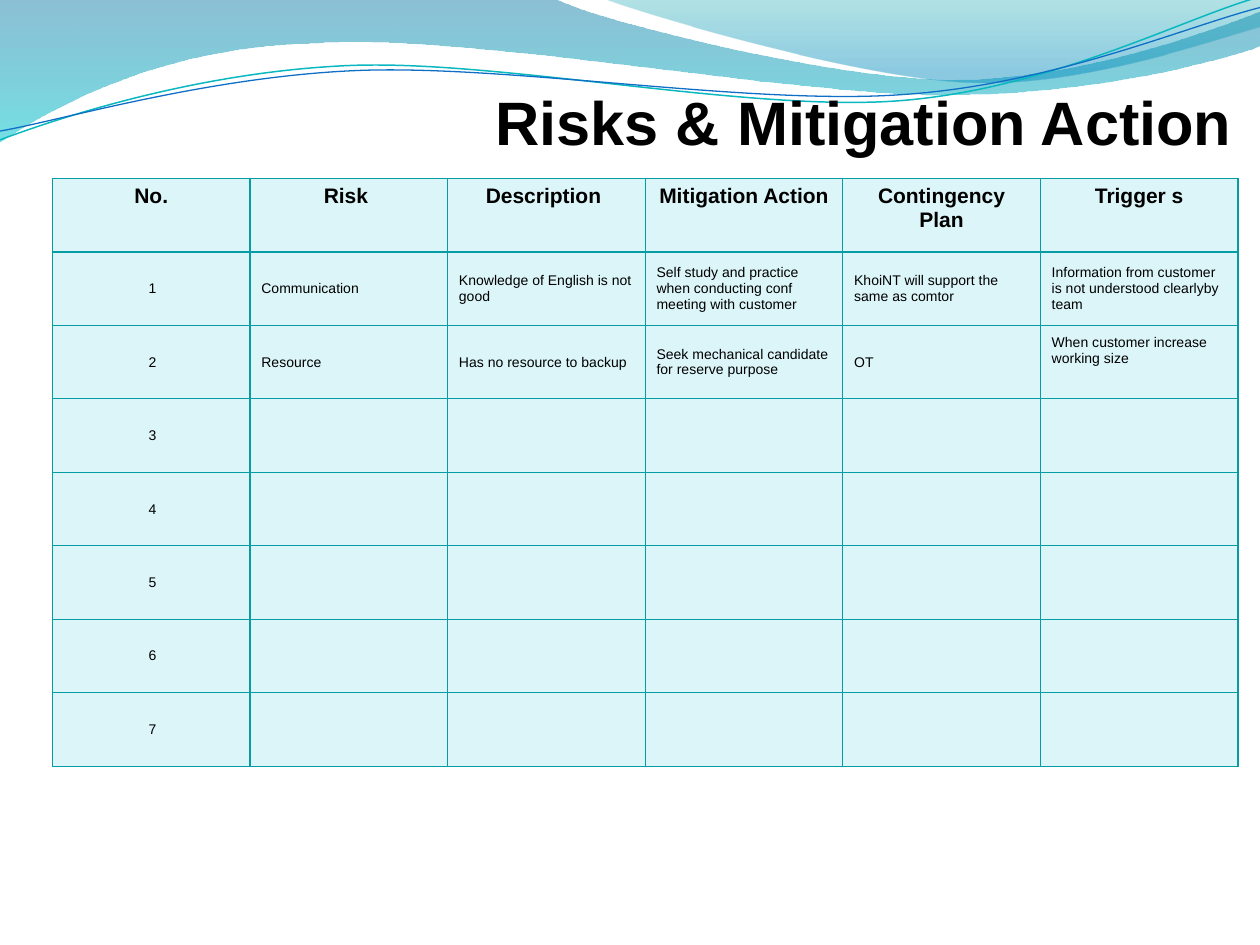
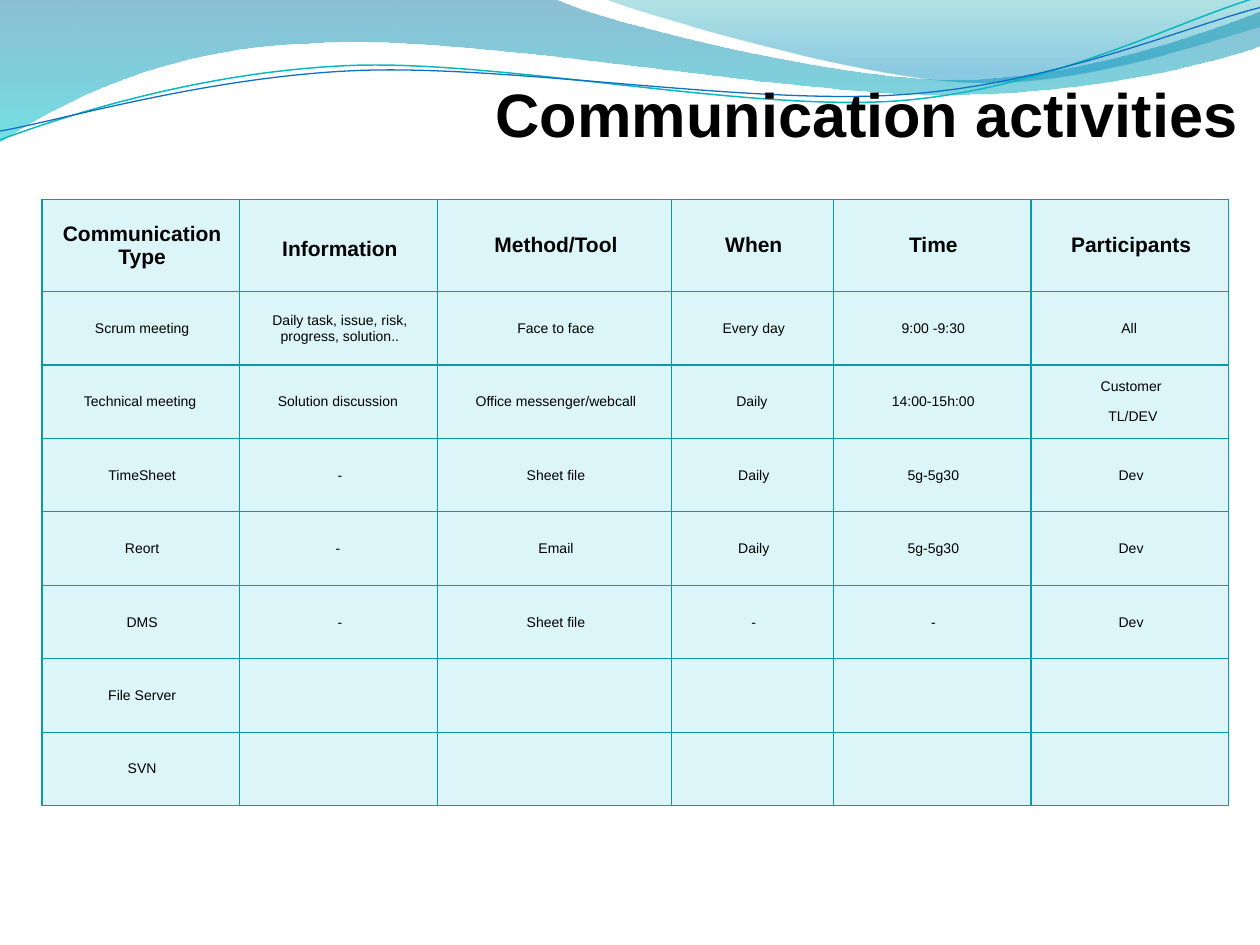
"""Build two project slides, each a waved header, a title and a table."""
import math
from dataclasses import dataclass

from lxml import etree
from pptx import Presentation, util as u
from pptx.dml.color import RGBColor
from pptx.enum import text
from pptx.oxml.ns import qn


@dataclass(frozen=True)
class Theme:
    font: str = "Arial"
    ink: str = "000000"
    cell: str = "DBF5F9"
    border: str = "069CA3"
    title_size: float = 35
    head_size: float = 12
    body_size: float = 8
    border_width: float = 0.75


theme = Theme()
LEFT, CENTER, RIGHT = text.PP_ALIGN.LEFT, text.PP_ALIGN.CENTER, text.PP_ALIGN.RIGHT
TOP, MIDDLE, BOTTOM = text.MSO_ANCHOR.TOP, text.MSO_ANCHOR.MIDDLE, text.MSO_ANCHOR.BOTTOM
ROW_HEIGHT = 7 / 12
PIVOT = (4.99, 0.58)

waves = [
    {"steps": [(0, 0), (4.4, -0.01), (4.76, 0.17, 6.64, 0.63, 7.58, 0.63),
               (8.53, 0.63, 9.58, 0.26, 10, 0.09), (10.01, 0.36),
               (9.83, 0.44, 8.7, 0.76, 7.46, 0.75), (6.22, 0.75, 3.82, 0.28, 2.57, 0.34),
               (1.29, 0.36, 0.46, 0.83, -0.01, 1.13), (0, 0)],
     "tilt": 0, "stops": [(0, "0074A1", 45), (1, "00C6CF", 55)]},
    {"steps": [(4.79, -0.01), (5.09, 0.11, 6.82, 0.62, 7.69, 0.65),
               (8.56, 0.69, 9.61, 0.32, 10, 0.21), (10, 0), (4.79, -0.01)],
     "tilt": 0, "stops": [(0, "00A1A9", 30), (0.8, "008BBF", 45)]},
    {"steps": [(0, 1.11), (0.48, 0.93, 1.58, 0.57, 2.77, 0.52),
               (3.95, 0.47, 5.93, 0.89, 7.13, 0.8), (8.33, 0.71, 9.38, 0.15, 9.98, -0.02)],
     "tilt": -2.7, "line": ("0AB8BF", 0.85)},
    {"steps": [(0, 1.04), (0.47, 0.96, 1.64, 0.61, 2.83, 0.56),
               (4.03, 0.51, 5.97, 0.84, 7.17, 0.75), (8.36, 0.67, 9.41, 0.21, 10, 0.06)],
     "tilt": -2.7, "line": ("0F6FC6", 0.75)},
]

slides = [
    {"title": "Risks & Mitigation Action", "title_at": (1.58, 0.5, 8.2, 0.75),
     "table_at": (5 / 12, 17 / 12), "head_height": ROW_HEIGHT,
     "widths": [9.41 / 6] * 6, "body_align": LEFT,
     "head": {"anchor": TOP, "insets": (0.1, 0.05, 0.1, 0.05), "gap": 0},
     "insets": {(2, 5): (0.09, 0, 0.07, 0.19)},
     "rows": [
         ["No.", "Risk ", "Description ", "Mitigation Action", "Contingency Plan", "Trigger s"],
         ["1", "Communication", "Knowledge of English is not good",
          "Self study and practice when conducting conf meeting with customer",
          "KhoiNT will support the same as comtor",
          "Information from customer is not understood clearlyby team"],
         ["2", "Resource", "Has no resource to backup",
          "Seek mechanical candidate for reserve purpose", "OT",
          "When customer increase working size"],
         *[[str(number)] + [""] * 5 for number in range(3, 8)],
     ]},
    {"title": "Communication activities", "title_at": (0.83, 0.5, 9, 0.69),
     "table_at": (1 / 3, 19 / 12), "head_height": 0.73,
     "widths": [1.57, 1.57, 1.86, 1.28, 1.57, 1.57], "body_align": CENTER,
     "head": {},
     "insets": {(0, 1): (0.09, 0.06, 0.07, 0)},
     "rows": [
         ["Communication Type", "Information", "Method/Tool", "When", "Time", "Participants"],
         ["Scrum meeting", "Daily task, issue, risk, progress, solution..", "Face to face",
          "Every day", "9:00 -9:30", "All "],
         ["Technical meeting ", "Solution discussion ", "Office messenger/webcall",
          "Daily ", "14:00-15h:00", "Customer\n TL/DEV"],
         ["TimeSheet", "-", "Sheet file", "Daily", "5g-5g30", "Dev"],
         ["Reort", "- ", "Email", "Daily", "5g-5g30", "Dev"],
         ["DMS", "-", "Sheet file", "-", "-", "Dev"],
         *[[store] + [""] * 5 for store in ("File Server", "SVN")],
     ]},
]


def add_curve(page, steps, tilt):
    """Add a freeform whose six-number steps are Bezier curves, tilted by degrees."""
    sine, cosine = math.sin(math.radians(-tilt)), math.cos(math.radians(-tilt))
    points = []
    for step in steps:
        for x, y in zip(step[::2], step[1::2]):
            across, down = x - PIVOT[0], y - PIVOT[1]
            points.append((u.Inches(PIVOT[0] + across * cosine - down * sine),
                           u.Inches(PIVOT[1] + across * sine + down * cosine)))
    builder = page.shapes.build_freeform(*points[0], scale=1.0)
    builder.add_line_segments(points[1:], close=steps[0] == steps[-1])
    shape = builder.convert_to_shape()
    lines = iter(list(shape._element.iter(qn("a:lnTo"))))
    for step in steps[1:]:
        first = next(lines)
        if len(step) == 6:
            curve = etree.Element(qn("a:cubicBezTo"))
            first.addprevious(curve)
            for line in (first, next(lines), next(lines)):
                curve.append(line[0])
                line.getparent().remove(line)
    shape.rotation = tilt
    shape.shadow.inherit = False
    return shape


def write(frame, words, size=theme.body_size, bold=False, align=CENTER, gap=0):
    """Fill a text frame, one paragraph for each line of words."""
    frame.word_wrap = True
    for index, line in enumerate(words.split("\n")):
        para = frame.add_paragraph() if index else frame.paragraphs[0]
        para.alignment = align
        para.space_before = para.space_after = u.Pt(gap)
        span = para.add_run()
        span.text = line
        span.font.name, span.font.size, span.font.bold = theme.font, u.Pt(size), bold
        span.font.color.rgb = RGBColor.from_string(theme.ink)


deck = Presentation()
deck.slide_width, deck.slide_height = u.Inches(10), u.Inches(7.5)

for content in slides:
    page = deck.slides.add_slide(deck.slide_layouts[6])

    for wave in waves:
        shape = add_curve(page, wave["steps"], wave["tilt"])
        if "line" in wave:
            color, width = wave["line"]
            shape.fill.background()
            shape.line.color.rgb = RGBColor.from_string(color)
            shape.line.width = u.Pt(width)
            continue
        shape.line.fill.background()
        shape.fill.gradient()
        shape.fill.gradient_angle = 270
        for stop, (position, color, _) in zip(shape.fill.gradient_stops, wave["stops"]):
            stop.position = position
            stop.color.rgb = RGBColor.from_string(color)
        for tint, (_, _, opacity) in zip(shape._element.spPr.iter(qn("a:srgbClr")), wave["stops"]):
            etree.SubElement(tint, qn("a:alpha"), val=str(opacity * 1000))

    box = page.shapes.add_textbox(*map(u.Inches, content["title_at"]))
    frame = box.text_frame
    frame.vertical_anchor = BOTTOM
    frame.margin_left = frame.margin_right = frame.margin_bottom = 0
    frame.margin_top = u.Inches(0.05)
    write(frame, content["title"], size=theme.title_size, bold=True, align=RIGHT)

    rows, widths = content["rows"], content["widths"]
    heights = [content["head_height"]] + [ROW_HEIGHT] * (len(rows) - 1)
    area = (*content["table_at"], sum(widths), sum(heights))
    table = page.shapes.add_table(len(rows), len(widths), *map(u.Inches, area)).table
    table.first_row = table.horz_banding = False
    for column, width in zip(table.columns, widths):
        column.width = u.Inches(width)

    for r, row in enumerate(rows):
        table.rows[r].height = u.Inches(heights[r])
        look = {"anchor": MIDDLE, "insets": (0.09, 0, 0.07, 0), "gap": 4}
        if r == 0:
            look.update(content["head"])
        for c, words in enumerate(row):
            cell = table.cell(r, c)
            cell.fill.solid()
            cell.fill.fore_color.rgb = RGBColor.from_string(theme.cell)
            cell.vertical_anchor = look["anchor"]
            insets = content["insets"].get((r, c), look["insets"])
            (cell.margin_left, cell.margin_top,
             cell.margin_right, cell.margin_bottom) = map(u.Inches, insets)
            properties = cell._tc.get_or_add_tcPr()
            for index, side in enumerate(("a:lnL", "a:lnR", "a:lnT", "a:lnB")):
                edge = etree.Element(qn(side), w=str(u.Pt(theme.border_width)))
                paint = etree.SubElement(edge, qn("a:solidFill"))
                etree.SubElement(paint, qn("a:srgbClr"), val=theme.border)
                properties.insert(index, edge)
            if words:
                write(cell.text_frame, words, gap=look["gap"], bold=r == 0,
                      size=theme.body_size if r else theme.head_size,
                      align=content["body_align"] if r and c else CENTER)

deck.save("out.pptx")
